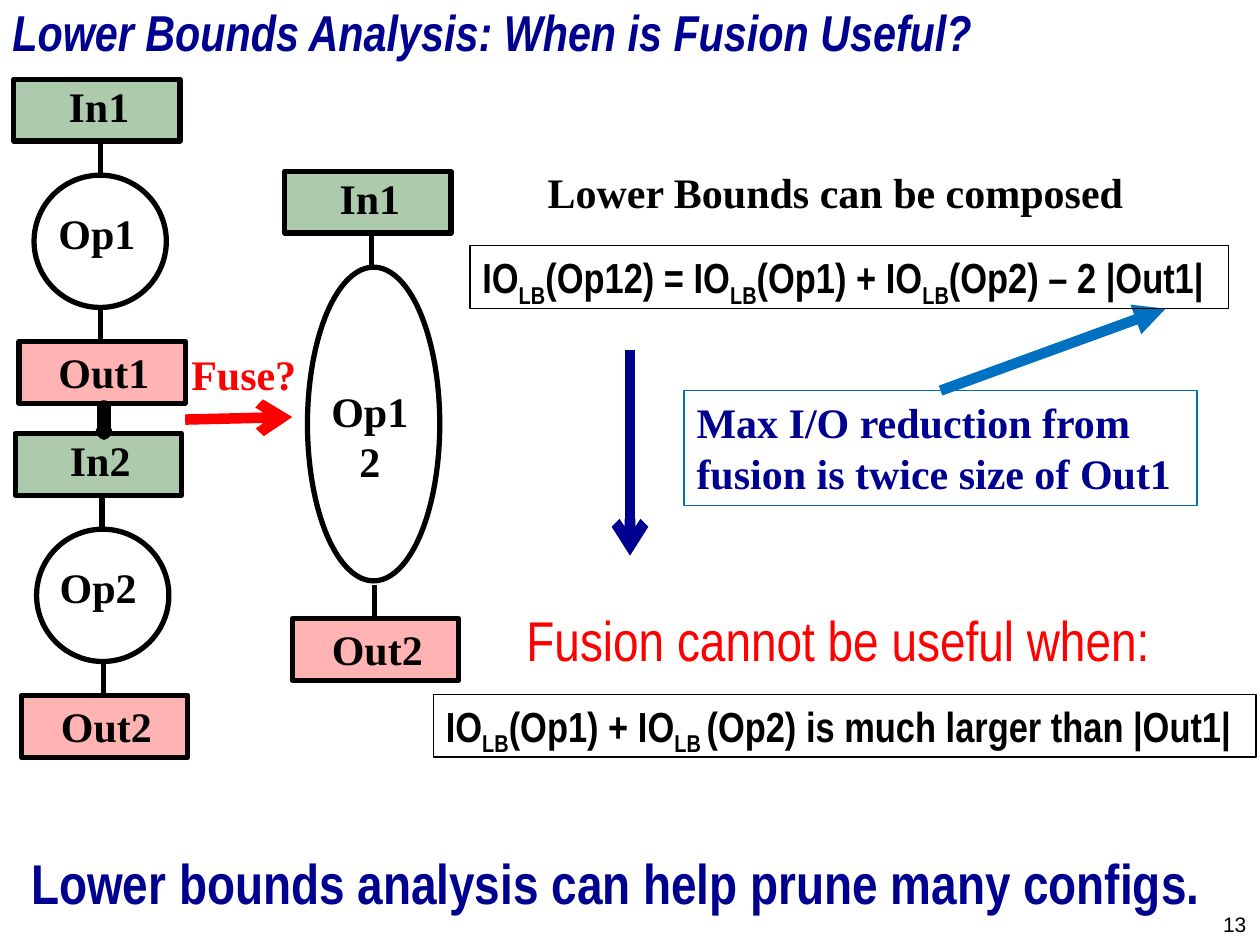
from lxml import etree
from pptx import Presentation
from pptx.dml.color import RGBColor
from pptx.enum.shapes import MSO_CONNECTOR, MSO_SHAPE
from pptx.enum.text import MSO_ANCHOR, PP_ALIGN
from pptx.oxml.ns import qn
from pptx.util import Pt

PX = 9144
LEFT, CENTER, RIGHT = PP_ALIGN.LEFT, PP_ALIGN.CENTER, PP_ALIGN.RIGHT
TOP, MIDDLE, BOTTOM = MSO_ANCHOR.TOP, MSO_ANCHOR.MIDDLE, MSO_ANCHOR.BOTTOM
RECTANGLE, OVAL, DOWN_ARROW = MSO_SHAPE.RECTANGLE, MSO_SHAPE.OVAL, MSO_SHAPE.DOWN_ARROW
STRAIGHT = MSO_CONNECTOR.STRAIGHT
SERIF, NARROW, SANS = "Times New Roman", "Arial Narrow", "Arial"
COLORS = {
    "black": "000000",
    "navy": "000090",
    "red": "FF0000",
    "blue": "0070C0",
    "input": "ADCAAD",
    "output": "FFB3B3",
}
NODE_WIDTH, NODE_HEIGHT, OPERATION_WIDTH, OPERATION_TOP = 132, 49, 105, 76


def color(name):
    return RGBColor.from_string(COLORS[name])


def emu(*lengths):
    return [length * PX for length in lengths]


def write(shape, text, font=SERIF, size=24, ink="black", bold=True, italic=False,
          align=LEFT, anchor=TOP, wrap=True, spacing=None, indent=0):
    frame = shape.text_frame
    frame.word_wrap = wrap
    frame.vertical_anchor = anchor
    paragraph = frame.paragraphs[0]
    paragraph.alignment = align
    if spacing:
        paragraph.line_spacing = spacing
    if indent:
        paragraph._p.get_or_add_pPr().set("marL", str(indent * PX))
    paragraph.font.name = font
    paragraph.font.size = Pt(size)
    paragraph.font.bold = bold
    paragraph.font.italic = italic
    paragraph.font.color.rgb = color(ink)
    parts = [text] if isinstance(text, str) else text
    for index, part in enumerate(parts):
        run = paragraph.add_run()
        run.text = part
        if index % 2:
            run._r.get_or_add_rPr().set("baseline", "-25000")


def add_text(slide, box, text, **style):
    write(slide.shapes.add_textbox(*emu(*box)), text, **style)


def add_box(slide, kind, box, fill=None, line="black", width=3):
    shape = slide.shapes.add_shape(kind, *emu(*box))
    shape.shadow.inherit = False
    if fill:
        shape.fill.solid()
        shape.fill.fore_color.rgb = color(fill)
    else:
        shape.fill.background()
    shape.line.color.rgb = color(line)
    shape.line.width = Pt(width)
    return shape


def add_line(slide, start, end, line="black", width=3, head=None):
    connector = slide.shapes.add_connector(STRAIGHT, *emu(*start, *end))
    connector.line.color.rgb = color(line)
    connector.line.width = Pt(width)
    properties = connector._element.spPr
    if head:
        etree.SubElement(properties.find(qn("a:ln")), qn("a:tailEnd"), type=head)
    etree.SubElement(properties, qn("a:effectLst"))
    return connector


def add_chain(slide, left, top, labels, height=105, gap=27, shift=4,
              label_offset=(21, 21), label_width=90):
    input_label, operation_label, output_label = labels
    label_style = {"align": CENTER, "wrap": False, "spacing": 0.8}
    operation_left, operation_top = left + shift + 12, top + OPERATION_TOP
    output_left, output_top = left + shift, operation_top + height + gap
    axis = left + 69
    label_left, label_top = label_offset

    add_box(slide, OVAL, (operation_left, operation_top, OPERATION_WIDTH, height))
    add_box(slide, RECTANGLE, (output_left, output_top, NODE_WIDTH, NODE_HEIGHT), "output")
    add_text(slide, (output_left + 21, output_top + 7, 93, 44), output_label, **label_style)
    add_text(slide, (left + label_left, operation_top + label_top, label_width, 50),
             operation_label, align=CENTER)
    add_line(slide, (axis + shift - 4, output_top - 27), (axis + shift - 4, output_top - 2))
    add_box(slide, RECTANGLE, (left, top, NODE_WIDTH, NODE_HEIGHT), "input")
    add_text(slide, (left + 33, top + 4, 69, 44), input_label, **label_style)
    add_line(slide, (axis, top + 48), (axis, operation_top))


def add_fuse_arrow(slide, left, top):
    add_line(slide, (left + 5, top + 61), (left + 90, top + 59), "red", 6, "arrow")
    add_text(slide, (left, top, 104, 50), "Fuse?", ink="red", wrap=False)


def add_composition(slide, left, top):
    add_text(slide, (left + 49, top, 482, 44), "Lower Bounds can be composed",
             align=CENTER, wrap=False, spacing=0.8)
    note = add_box(slide, RECTANGLE, (left + 170, top + 175, 407, 91), line="blue", width=0.75)
    write(note, "Max I/O reduction from fusion is twice size of Out1", ink="navy")
    pointer = add_line(slide, (left + 374, top + 175), (left + 552, top + 110),
                       "blue", 6, "triangle")
    pointer.begin_connect(note, 0)
    add_line(slide, (left + 127, top + 143), (left + 127, top + 306), "navy", 6, "arrow")
    formula = add_box(slide, RECTANGLE, (left, top + 60, 602, 50), width=0.75)
    write(formula, ["IO", "LB", "(Op12) = IO", "LB", "(Op1) + IO", "LB",
                    "(Op2) – 2 |Out1|"], font=NARROW)


def add_condition(slide, left, top):
    add_text(slide, (left + 20, top, 634, 64), "Fusion cannot be useful when:",
             font=NARROW, size=32, ink="red", bold=False, indent=44)
    formula = add_box(slide, RECTANGLE, (left, top + 75, 653, 50), width=0.75)
    write(formula, ["IO", "LB", "(Op1) + IO", "LB ",
                    "(Op2) is much larger than |Out1|"], font=NARROW)


def main():
    presentation = Presentation()
    presentation.slide_width, presentation.slide_height = emu(1000, 750)
    slide = presentation.slides.add_slide(presentation.slide_layouts[6])

    add_text(slide, (674, 698, 325, 50), "13", font=SANS, size=12, bold=False,
             align=RIGHT, anchor=BOTTOM)
    add_text(slide, (0, 1, 975, 54), "Lower Bounds Analysis: When is Fusion Useful?",
             font=NARROW, size=28.8, ink="navy", italic=True, anchor=MIDDLE, spacing=0.9)
    add_chain(slide, 11, 63, ("In1", "Op1", "Out1"))
    add_chain(slide, 12, 344, ("In2", "Op2", "Out2"), shift=5)
    add_chain(slide, 226, 136, ("In1", "Op12", "Out2"), height=249, gap=30, shift=6,
              label_offset=(19, 89), label_width=97)
    add_fuse_arrow(slide, 142, 272)
    add_composition(slide, 373, 135)
    add_box(slide, DOWN_ARROW, (80, 322, 5, 23), "black", width=6)
    add_condition(slide, 344, 476)
    add_text(slide, (-29, 663, 1027, 64), "Lower bounds analysis can help prune many configs.",
             font=NARROW, size=32, ink="navy", spacing=1.1, indent=44)
    presentation.save("out.pptx")


if __name__ == "__main__":
    main()
